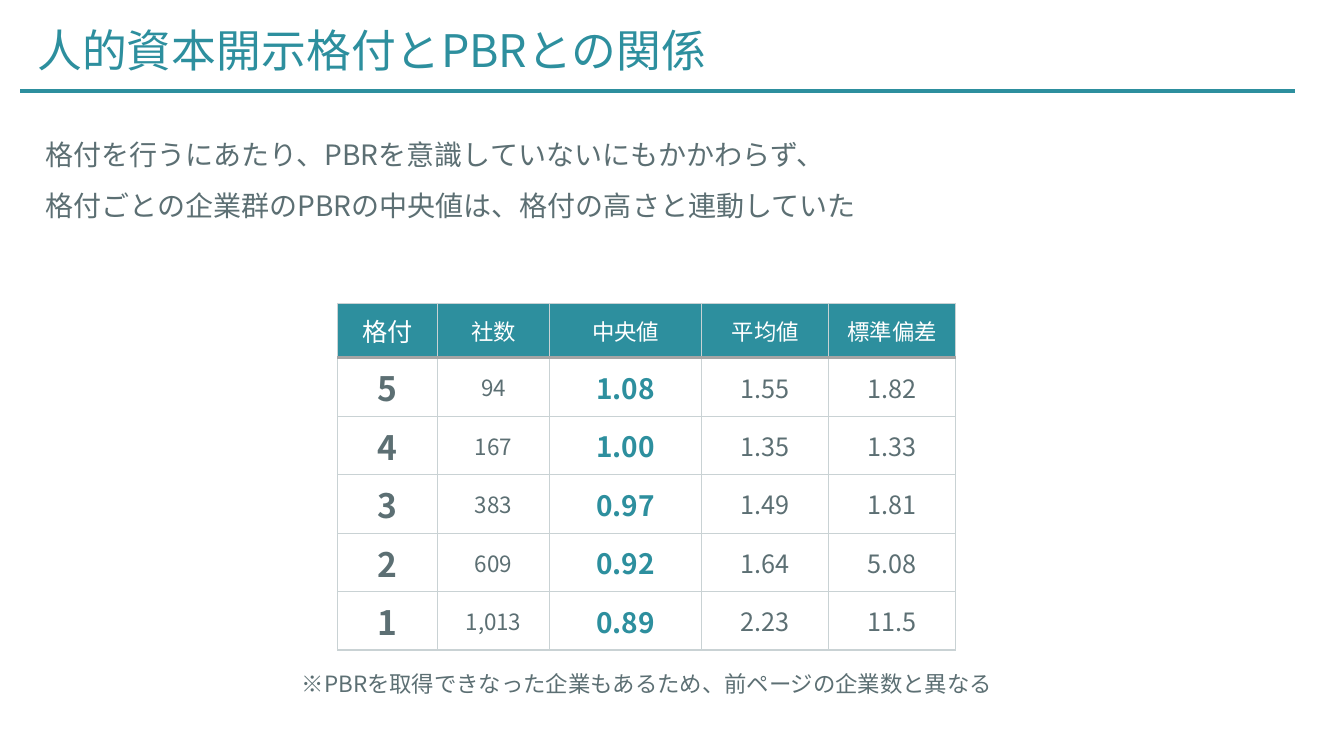
import dataclasses

import lxml.etree
import pptx
import pptx.dml.color
import pptx.enum.shapes
import pptx.enum.text
import pptx.oxml.ns
import pptx.util

Inches = pptx.util.Inches
Align = pptx.enum.text.PP_ALIGN
Anchor = pptx.enum.text.MSO_ANCHOR

FONT = "Noto Sans CJK JP"
COLORS = {
    "teal": "2D8F9E",
    "slate": "5C6F73",
    "white": "FFFFFF",
    "grid": "C9D2D4",
    "header_rule": "A5A5A5",
}


@dataclasses.dataclass(frozen=True)
class TextStyle:
    size: float
    color: str = "slate"
    bold: bool = False
    align: Align = Align.LEFT
    line_spacing: float = 1.0


@dataclasses.dataclass(frozen=True)
class TextBlock:
    left: float
    top: float
    width: float
    height: float
    lines: tuple[str, ...]
    style: TextStyle


@dataclasses.dataclass(frozen=True)
class Column:
    heading: str
    width: float
    values: tuple[str, ...]
    heading_size: float
    style: TextStyle


TITLE = TextBlock(0.27, 0.18, 10.1, 0.64, ("人的資本開示格付とPBRとの関係",), TextStyle(32, "teal"))
BLOCKS = (
    TextBlock(
        0.35, 1.15, 12.63, 1.04,
        (
            "格付を行うにあたり、PBRを意識していないにもかかわらず、",
            "格付ごとの企業群のPBRの中央値は、格付の高さと連動していた",
        ),
        TextStyle(20, line_spacing=1.5),
    ),
    TextBlock(
        2.81, 6.6, 7.22, 0.37,
        ("※PBRを取得できなった企業もあるため、前ページの企業数と異なる",),
        TextStyle(16, align=Align.CENTER),
    ),
)

RATING = TextStyle(24, bold=True, align=Align.CENTER)
COUNT = TextStyle(16, align=Align.CENTER)
MEDIAN = TextStyle(20, "teal", True, Align.CENTER)
FIGURE = TextStyle(18, align=Align.CENTER)
COLUMNS = (
    Column("格付", 0.99, ("5", "4", "3", "2", "1"), 18, RATING),
    Column("社数", 1.11, ("94", "167", "383", "609", "1,013"), 16, COUNT),
    Column("中央値", 1.51, ("1.08", "1.00", "0.97", "0.92", "0.89"), 16, MEDIAN),
    Column("平均値", 1.26, ("1.55", "1.35", "1.49", "1.64", "2.23"), 16, FIGURE),
    Column("標準偏差", 1.26, ("1.82", "1.33", "1.81", "5.08", "11.5"), 16, FIGURE),
)
HEADER_HEIGHT = 0.54
ROW_HEIGHT = 0.58


def rgb(name: str) -> pptx.dml.color.RGBColor:
    return pptx.dml.color.RGBColor.from_string(COLORS[name])


def write_lines(text_frame, lines: tuple[str, ...], style: TextStyle) -> None:
    for index, line in enumerate(lines):
        paragraph = text_frame.paragraphs[0] if index == 0 else text_frame.add_paragraph()
        paragraph.alignment = style.align
        paragraph.line_spacing = style.line_spacing
        run = paragraph.add_run()
        run.text = line
        font_format = {"name": FONT, "size": pptx.util.Pt(style.size), "bold": style.bold}
        for attribute, value in font_format.items():
            setattr(run.font, attribute, value)
        run.font.color.rgb = rgb(style.color)
        latin = run.font._element.find(pptx.oxml.ns.qn("a:latin"))
        east_asian = lxml.etree.Element(pptx.oxml.ns.qn("a:ea"), typeface=FONT)
        latin.addnext(east_asian)


def fill_text_shape(shape, block: TextBlock) -> None:
    for attribute in ("left", "top", "width", "height"):
        setattr(shape, attribute, Inches(getattr(block, attribute)))
    frame_format = {
        "word_wrap": True,
        "auto_size": pptx.enum.text.MSO_AUTO_SIZE.SHAPE_TO_FIT_TEXT,
        "vertical_anchor": Anchor.TOP,
    }
    for attribute, value in frame_format.items():
        setattr(shape.text_frame, attribute, value)
    write_lines(shape.text_frame, block.lines, block.style)


def add_title_rule(slide) -> None:
    rule = slide.shapes.add_connector(
        pptx.enum.shapes.MSO_CONNECTOR.STRAIGHT, Inches(0.2), Inches(0.9), Inches(12.84), Inches(0.9)
    )
    rule.line.color.rgb = rgb("teal")
    rule.line.width = pptx.util.Pt(3)
    lxml.etree.SubElement(rule._element.spPr, pptx.oxml.ns.qn("a:effectLst"))


def set_borders(cell, row: int) -> None:
    heavy_side = {0: "lnB", 1: "lnT"}.get(row)
    properties = cell._tc.get_or_add_tcPr()
    for index, side in enumerate(("lnL", "lnR", "lnT", "lnB")):
        color, points = ("header_rule", 2.25) if side == heavy_side else ("grid", 1)
        border = lxml.etree.Element(
            pptx.oxml.ns.qn(f"a:{side}"), w=str(pptx.util.Pt(points))
        )
        fill = lxml.etree.SubElement(border, pptx.oxml.ns.qn("a:solidFill"))
        lxml.etree.SubElement(fill, pptx.oxml.ns.qn("a:srgbClr"), val=COLORS[color])
        properties.insert(index, border)


def fill_cell(cell, row: int, column: Column) -> None:
    cell.vertical_anchor = Anchor.MIDDLE
    if row == 0:
        cell.fill.solid()
        cell.fill.fore_color.rgb = rgb("teal")
        style = TextStyle(column.heading_size, "white", align=Align.CENTER)
        write_lines(cell.text_frame, (column.heading,), style)
    else:
        cell.fill.background()
        cell.margin_top = cell.margin_bottom = Inches(0.02)
        write_lines(cell.text_frame, (column.values[row - 1],), column.style)
    set_borders(cell, row)


def add_rating_table(slide) -> None:
    row_heights = [HEADER_HEIGHT] + [ROW_HEIGHT] * len(COLUMNS[0].values)
    total_width = sum(column.width for column in COLUMNS)
    table = slide.shapes.add_table(
        len(row_heights), len(COLUMNS),
        Inches(3.35), Inches(3.01), Inches(total_width), Inches(sum(row_heights)),
    ).table
    table.first_row = False
    table.horz_banding = False
    for row, height in enumerate(row_heights):
        table.rows[row].height = Inches(height)
    for index, column in enumerate(COLUMNS):
        table.columns[index].width = Inches(column.width)
        for row in range(len(row_heights)):
            fill_cell(table.cell(row, index), row, column)


def main() -> None:
    presentation = pptx.Presentation()
    presentation.slide_width = Inches(13.33)
    presentation.slide_height = Inches(7.5)
    slide = presentation.slides.add_slide(presentation.slide_layouts.get_by_name("Title Only"))
    add_title_rule(slide)
    fill_text_shape(slide.shapes.title, TITLE)
    add_rating_table(slide)
    for block in BLOCKS:
        text_box = slide.shapes.add_textbox(0, 0, 0, 0)
        fill_text_shape(text_box, block)
    presentation.save("out.pptx")


if __name__ == "__main__":
    main()
